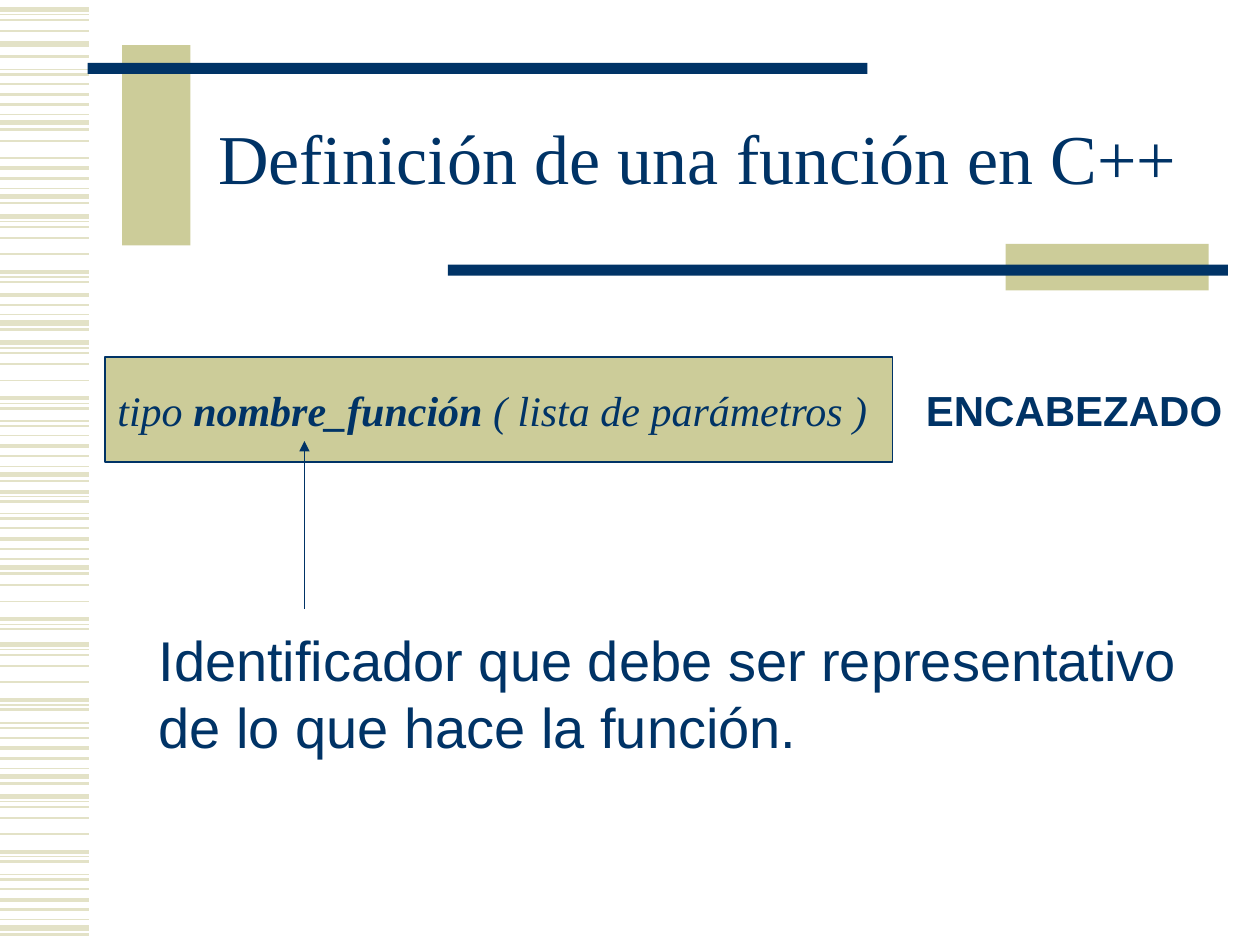
import pptx
import pptx.util
import pptx.dml.color
import pptx.enum.shapes
import pptx.enum.text
import pptx.oxml
import pptx.oxml.ns

Pt = pptx.util.Pt
RGBColor = pptx.dml.color.RGBColor
Anchor = pptx.enum.text.MSO_ANCHOR
Align = pptx.enum.text.PP_ALIGN

NAVY = RGBColor(0x00, 0x33, 0x66)
KHAKI = RGBColor(0xCC, 0xCC, 0x99)
PALE_KHAKI = RGBColor(0xE3, 0xE2, 0xC7)
SERIF = "Times New Roman"
SANS = "Arial"

# Stripe motifs: (offset from the motif's start, line weight)
OPEN_MOTIF = [(0, 3), (3, 0.75), (6, 1), (12.3, 1), (21.6, 1),
              (31.7, 2.25), (34.6, 0.75), (37.4, 1.5)]
DENSE_MOTIF = [(0, 0.75), (2.9, 1.5), (8.4, 1), (14.4, 2.25),
               (20.2, 1.5), (25.9, 0.75), (30.6, 3), (34.4, 1.5)]
SINGLE = [(0, 3), (7.2, 1.5), (55.4, 1)]
# Motif part and the tops where it starts
STRIPES = [
    (OPEN_MOTIF, [123.7, 195.9, 368.2, 455]),
    (OPEN_MOTIF[:4], [5.3]),
    (OPEN_MOTIF[3:], [322.1]),
    (OPEN_MOTIF[5:], [249.2]),
    (DENSE_MOTIF, [39.6, 240.5, 293.5, 413.2, 499.7]),
    (DENSE_MOTIF[2:], [81.7]),
    (DENSE_MOTIF[3:], [154]),
    (SINGLE, [25.2]),
]


class SlideBuilder:
    def __init__(self, slide, color=NAVY):
        self.slide = slide
        self.color = color

    def style_runs(self, paragraph, size, font, bold=False, italic=False):
        for run in paragraph.runs:
            run.font.size = Pt(size)
            run.font.name = font
            run.font.bold = bold
            run.font.italic = italic
            run.font.color.rgb = self.color

    def title(self, text, left, top, width, height):
        shape = self.slide.shapes.title
        shape.left, shape.top = Pt(left), Pt(top)
        shape.width, shape.height = Pt(width), Pt(height)
        shape.text_frame.text = text
        shape.text_frame.vertical_anchor = Anchor.MIDDLE
        paragraph = shape.text_frame.paragraphs[0]
        paragraph.alignment = Align.CENTER
        paragraph.line_spacing = 0.85
        self.style_runs(paragraph, 40, SERIF)

    def rectangle(self, left, top, width, height, fill, outlined=False):
        shape = self.slide.shapes.add_shape(
            pptx.enum.shapes.MSO_SHAPE.RECTANGLE,
            Pt(left), Pt(top), Pt(width), Pt(height))
        shape.shadow.inherit = False
        shape.fill.solid()
        shape.fill.fore_color.rgb = fill
        if outlined:
            shape.line.color.rgb = self.color
            shape.line.width = Pt(0.75)
        else:
            shape.line.fill.background()
        return shape

    def header_box(self, parts, left, top, width, height):
        shape = self.rectangle(left, top, width, height, KHAKI, outlined=True)
        frame = shape.text_frame
        frame.word_wrap = False
        frame.vertical_anchor = Anchor.MIDDLE
        paragraph = frame.paragraphs[0]
        paragraph.alignment = Align.LEFT
        for text in parts:
            paragraph.add_run().text = text
        self.style_runs(paragraph, 24, SERIF, italic=True)
        paragraph.runs[1].font.bold = True

    def text(self, text, left, top, width, height, size, bold=False):
        box = self.slide.shapes.add_textbox(
            Pt(left), Pt(top), Pt(width), Pt(height))
        frame = box.text_frame
        frame.text = text
        frame.word_wrap = False
        frame.auto_size = pptx.enum.text.MSO_AUTO_SIZE.SHAPE_TO_FIT_TEXT
        for paragraph in frame.paragraphs:
            paragraph.alignment = Align.LEFT
            self.style_runs(paragraph, size, SANS, bold)

    def line(self, start, end, color, weight, arrow=False):
        connector = self.slide.shapes.add_connector(
            pptx.enum.shapes.MSO_CONNECTOR.STRAIGHT,
            *(Pt(value) for value in start + end))
        connector.line.color.rgb = color
        connector.line.width = Pt(weight)
        if arrow:
            pptx.oxml.ns.qn("a:tailEnd")
            tail = connector.line._get_or_add_ln().makeelement(
                pptx.oxml.ns.qn("a:tailEnd"), {"type": "triangle"})
            connector.line._get_or_add_ln().append(tail)
        properties = connector._element.spPr
        properties.append(properties.makeelement(
            pptx.oxml.ns.qn("a:effectLst"), {}))


def main():
    presentation = pptx.Presentation()
    presentation.slide_width = Pt(720)
    presentation.slide_height = Pt(540)
    slide = presentation.slides.add_slide(presentation.slide_layouts[5])
    builder = SlideBuilder(slide)

    # Striped left margin
    for motif, tops in STRIPES:
        for top in tops:
            for offset, weight in motif:
                y = top + offset
                builder.line((0, y), (51, y), PALE_KHAKI, weight)

    # Blocks and bars around the title
    builder.rectangle(69.8, 25.8, 39, 114.5, KHAKI)
    builder.rectangle(50, 36, 445.7, 6.3, NAVY)
    builder.rectangle(574.7, 139.4, 116, 26.6, KHAKI)
    builder.rectangle(256, 151.2, 445.7, 6.3, NAVY)
    builder.title("Definición de una función en C++", 108, 48, 581, 90)

    # Function header and its label
    builder.header_box(
        ["tipo ", "nombre_función", " ( lista de parámetros )"],
        60, 204, 450, 60)
    builder.text("ENCABEZADO", 522, 216, 183.6, 36, 24, bold=True)

    # Explanation of the identifier
    builder.line((174, 348), (174, 252), NAVY, 0.75, arrow=True)
    builder.text("Identificador que debe ser representativo\n"
                 "de lo que hace la función.", 83.5, 354, 605.5, 84.2, 32)

    presentation.save("out.pptx")


if __name__ == "__main__":
    main()
